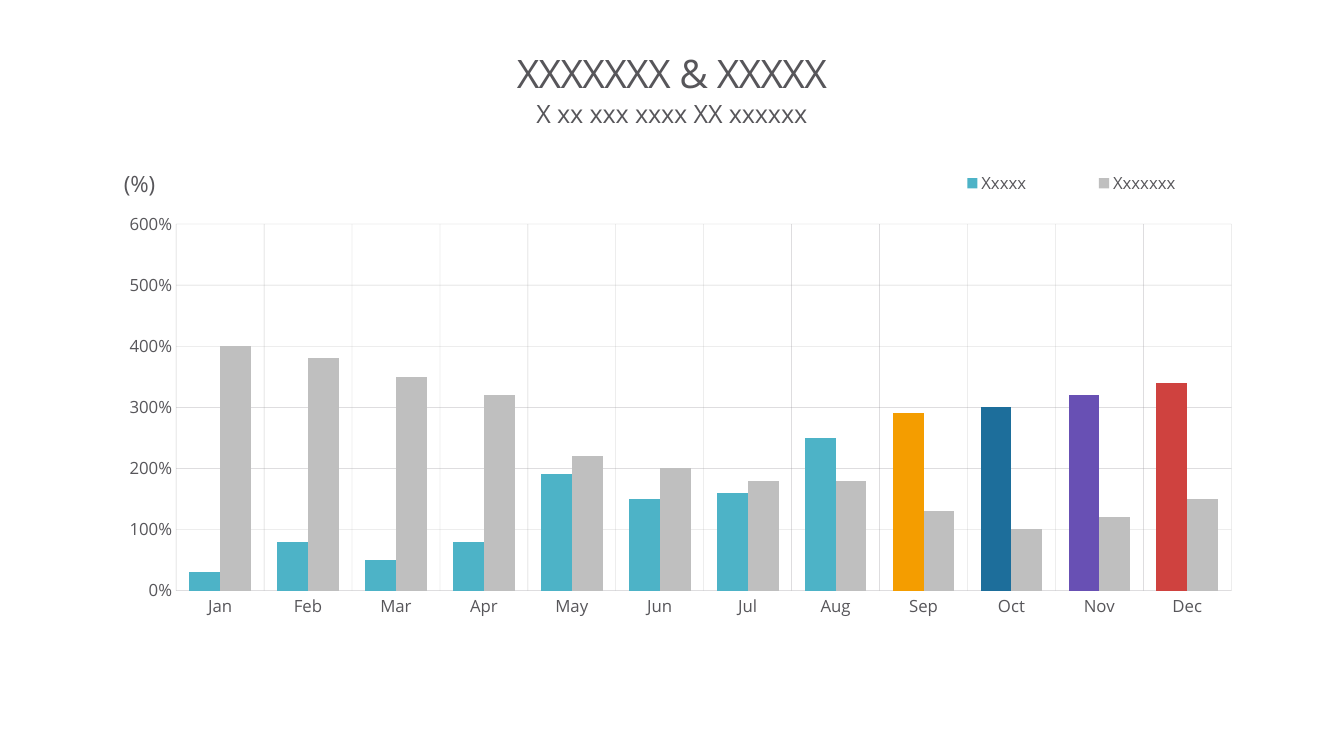
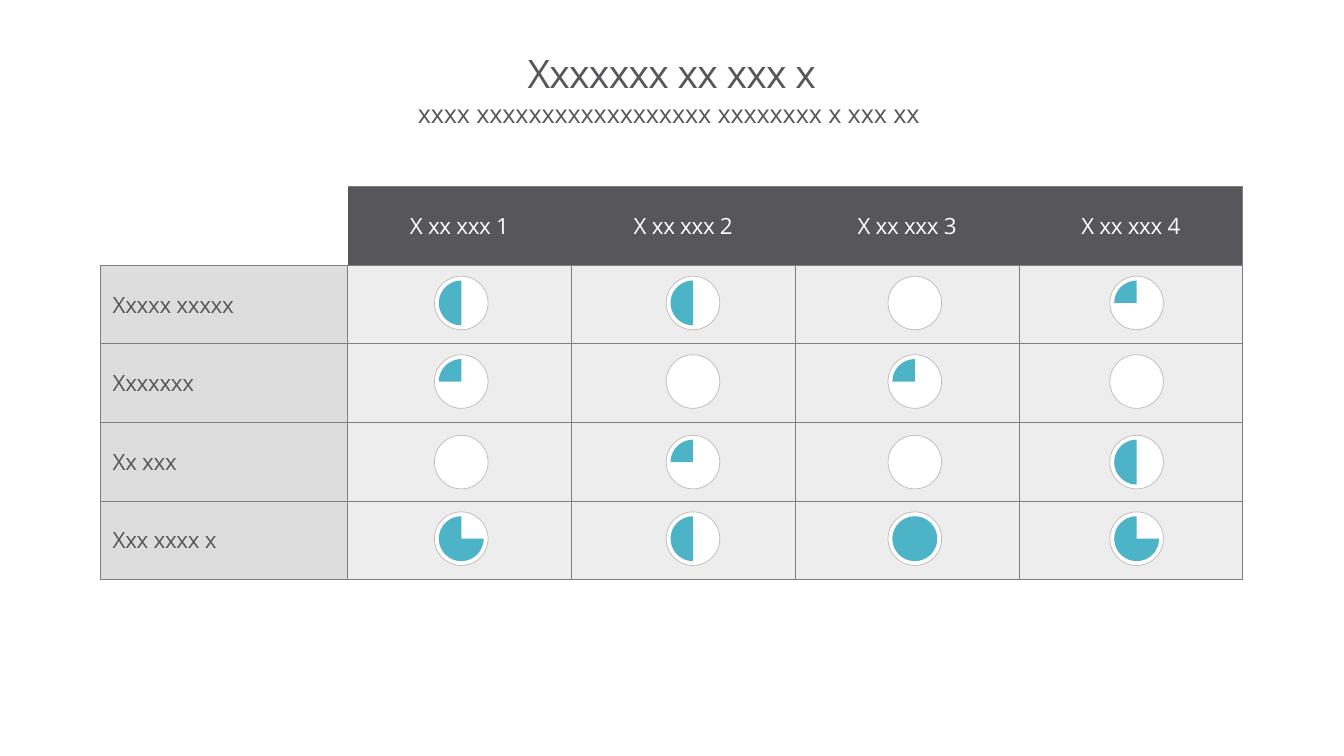
from pptx import Presentation
from pptx import util as u
from pptx.chart import data as chart_data
from pptx.dml.color import RGBColor
from pptx.enum import chart as charts, shapes, text
from pptx.oxml import ns
from lxml import etree

FONT = "Open Sans"
DARK, TEAL, SILVER = "57565A", "4DB3C7", "BFBFBF"
WHITE, GRID, BORDER = "FFFFFF", "9A999D", "7F7F7F"
NO_STYLE = "{2D5ABB26-0587-4C30-8999-92F81FD0307C}"
TITLE_BOX = (2.54, 0.79, 28.78, 2.26)
SUBTITLE_BOX = (2.54, 2.59, 28.78, 1.12)
CHART_BOX = (2.54, 4.04, 28.78, 12.85)
TABLE_BOX = (2.54, 4.7, 28.78, 9.9)

MONTHS = "Jan Feb Mar Apr May Jun Jul Aug Sep Oct Nov Dec".split()
SERIES = [
    ("Xxxxx", TEAL, [30, 80, 50, 80, 190, 150, 160, 250, 290, 300, 320, 340]),
    ("Xxxxxxx", SILVER, [400, 380, 350, 320, 220, 200, 180, 180, 130, 100, 120, 150]),
]
ACCENTS = {8: "F49D00", 9: "1D6E9B", 10: "6850B4", 11: "CF423F"}

HEADINGS = ["X xx xxx 1", "X xx xxx 2", "X xx xxx 3", "X xx xxx 4"]
QUARTERS = [
    ("Xxxxx xxxxx", [2, 2, 0, 1]),
    ("Xxxxxxx", [1, 0, 1, 0]),
    ("Xx xxx", [0, 1, 0, 2]),
    ("Xxx xxxx x", [3, 2, 4, 3]),
]
FIRST_COLUMN, COLUMN, ROW = 6.22, 5.64, 1.98
DIAL_LEFTS = [8.41, 14.25, 19.84, 25.43]
DIAL_TOPS = [2.26, 4.24, 6.27, 8.2]
DIAL, DIAL_INSET = 1.35, 0.11


def rgb(value):
    """Turn a hex string into a colour."""
    return RGBColor.from_string(value)


def cm(box):
    """Turn a box in centimetres into lengths."""
    return [u.Cm(value) for value in box]


def paint(fill, color):
    """Give a fill one solid colour."""
    fill.solid()
    fill.fore_color.rgb = rgb(color)


def fade(element, percent):
    """Set the opacity of every colour inside an element."""
    for color in element.iter(ns.qn("a:srgbClr")):
        etree.SubElement(color, ns.qn("a:alpha"), val=str(percent * 1000))


def write(frame, words, size, color=DARK, align=None, spacing=0, leading=None):
    """Write one styled paragraph into a text frame."""
    frame.text = words
    para = frame.paragraphs[0]
    para.alignment = align
    if leading:
        para.line_spacing = leading
    para.font.name, para.font.size = FONT, u.Pt(size)
    para.font.bold = False
    para.font.color.rgb = rgb(color)
    if spacing:
        para._p.pPr.find(ns.qn("a:defRPr")).set("spc", str(spacing))


def bare(frame):
    """Remove the margins of a text frame."""
    frame.margin_left = frame.margin_right = 0
    frame.margin_top = frame.margin_bottom = 0
    return frame


def add_page(deck, title, subtitle):
    """Add a slide with its centred title and subtitle."""
    page = deck.slides.add_slide(deck.slide_layouts[5])
    heading = page.shapes.title
    heading.left, heading.top, heading.width, heading.height = cm(TITLE_BOX)
    below = page.shapes.add_textbox(*cm(SUBTITLE_BOX))
    center = text.PP_ALIGN.CENTER
    for shape, words, size, spacing in ((heading, title, 28, -50), (below, subtitle, 18, -10)):
        frame = bare(shape.text_frame)
        frame.word_wrap = True
        frame.auto_size = text.MSO_AUTO_SIZE.NONE
        write(frame, words, size, align=center, spacing=spacing, leading=0.86)
    heading.text_frame.vertical_anchor = text.MSO_ANCHOR.MIDDLE
    return page


def place_part(parent, index, box, inner=False):
    """Fix the place of a chart part as fractions of the chart."""
    for old in parent.findall(ns.qn("c:layout")):
        parent.remove(old)
    layout = etree.Element(ns.qn("c:layout"))
    manual = etree.SubElement(layout, ns.qn("c:manualLayout"))
    settings = [("layoutTarget", "inner")] if inner else []
    settings += [("xMode", "edge"), ("yMode", "edge"), *zip("xywh", box)]
    for name, value in settings:
        etree.SubElement(manual, ns.qn("c:" + name), val=str(value))
    parent.insert(index, layout)


def style_axis(axis):
    """Leave only labels and pale gridlines on an axis."""
    axis.major_tick_mark = axis.minor_tick_mark = charts.XL_TICK_MARK.NONE
    axis.format.line.fill.background()
    axis.has_major_gridlines = True
    line = axis.major_gridlines.format.line
    line.width = u.Pt(0.25)
    line.color.rgb = rgb(GRID)
    fade(axis._element.find(ns.qn("c:majorGridlines")), 50)


def add_columns(page, box):
    """Add the monthly column chart with its unit label."""
    data = chart_data.CategoryChartData()
    data.categories = MONTHS
    for name, _, values in SERIES:
        data.add_series(name, values)
    kind = charts.XL_CHART_TYPE.COLUMN_CLUSTERED
    chart = page.shapes.add_chart(kind, *cm(box), data).chart
    chart.has_title = False
    chart.font.name, chart.font.size = FONT, u.Pt(12)
    chart.font.color.rgb = rgb(DARK)
    plot = chart.plots[0]
    plot.vary_by_categories = False
    plot.gap_width, plot.overlap = 85, 0
    for series, (_, color, _) in zip(plot.series, SERIES):
        paint(series.format.fill, color)
    for index, color in ACCENTS.items():
        paint(plot.series[0].points[index].format.fill, color)
    for axis in (chart.category_axis, chart.value_axis):
        style_axis(axis)
    scale = chart.value_axis
    scale.minimum_scale, scale.maximum_scale, scale.major_unit = 0, 600, 100
    scale.tick_labels.number_format = '0"%"'
    scale.tick_labels.number_format_is_linked = False
    chart.has_legend = True
    chart.legend.position = charts.XL_LEGEND_POSITION.LEFT
    chart.legend.include_in_layout = True
    place_part(chart.legend._element, 1, (0.7, 0, 0.3, 0.09))
    area = chart._chartSpace.chart.plotArea
    place_part(area, 0, (0.066, 0.125, 0.924, 0.719), inner=True)
    unit = page.shapes.add_textbox(*cm((box[0] + 0.58, box[1] + 0.25, 0.81, 0.69)))
    frame = bare(unit.text_frame)
    frame.word_wrap = False
    frame.auto_size = text.MSO_AUTO_SIZE.SHAPE_TO_FIT_TEXT
    write(frame, "(%)", 16)


def add_borders(cell, sides):
    """Draw thin lines on the named sides of a cell."""
    properties = cell._tc.get_or_add_tcPr()
    for index, side in enumerate(sides):
        line = etree.Element(ns.qn("a:ln" + side), w=str(u.Pt(0.5)))
        fill = etree.SubElement(line, ns.qn("a:solidFill"))
        etree.SubElement(fill, ns.qn("a:srgbClr"), val=BORDER)
        fade(line, 50)
        properties.insert(index, line)


def fill_cell(cell, color, opacity=100):
    """Give a cell a fill of some opacity."""
    paint(cell.fill, color)
    if opacity < 100:
        fade(cell._tc.tcPr, opacity)


def add_dial(page, left, top, quarters):
    """Add a round dial filled by a number of quarters."""
    ring = page.shapes.add_shape(shapes.MSO_SHAPE.OVAL, *cm((left, top, DIAL, DIAL)))
    ring.shadow.inherit = False
    paint(ring.fill, WHITE)
    ring.line.width = u.Pt(0.5)
    ring.line.color.rgb = rgb("808080")
    fade(ring.line._ln, 50)
    if not quarters:
        return
    size = DIAL - 2 * DIAL_INSET
    kind = shapes.MSO_SHAPE.OVAL if quarters == 4 else shapes.MSO_SHAPE.PIE
    box = (left + DIAL_INSET, top + DIAL_INSET, size, size)
    wedge = page.shapes.add_shape(kind, *cm(box))
    wedge.shadow.inherit = False
    paint(wedge.fill, TEAL)
    wedge.line.fill.background()
    if quarters < 4:
        wedge.adjustments[0] = (270 - 90 * quarters) * 0.6
        wedge.adjustments[1] = 162


def add_matrix(page, box):
    """Add the table and the dials on its cells."""
    frame = page.shapes.add_table(len(QUARTERS) + 1, len(HEADINGS) + 1, *cm(box))
    table = frame.table
    table.first_row = table.horz_banding = False
    table._tbl.tblPr.find(ns.qn("a:tableStyleId")).text = NO_STYLE
    for index, column in enumerate(table.columns):
        column.width = u.Cm(COLUMN if index else FIRST_COLUMN)
    for row in table.rows:
        row.height = u.Cm(ROW)
    for cell in table.iter_cells():
        cell.vertical_anchor = text.MSO_ANCHOR.MIDDLE
        cell.margin_left = cell.margin_right = u.Cm(0.3)
        cell.margin_top = cell.margin_bottom = u.Cm(0.18)
    table.cell(0, 0).fill.background()
    add_borders(table.cell(0, 0), "B")
    for number, words in enumerate(HEADINGS, 1):
        cell = table.cell(0, number)
        write(cell.text_frame, words, 16, WHITE, text.PP_ALIGN.CENTER, -20)
        fill_cell(cell, DARK)
        add_borders(cell, "RTB" if number == len(HEADINGS) else "TB")
    for number, (words, levels) in enumerate(QUARTERS, 1):
        write(table.cell(number, 0).text_frame, words, 16, spacing=-20)
        for index in range(len(HEADINGS) + 1):
            cell = table.cell(number, index)
            fill_cell(cell, *(("808080", 14) if index else ("555555", 20)))
            add_borders(cell, "LRTB")
        for left, quarters in zip(DIAL_LEFTS, levels):
            add_dial(page, box[0] + left, box[1] + DIAL_TOPS[number - 1], quarters)


def main():
    """Build and save the deck."""
    deck = Presentation()
    deck.slide_width, deck.slide_height = u.Cm(33.87), u.Cm(19.05)
    page = add_page(deck, "XXXXXXX & XXXXX", "X xx xxx xxxx XX xxxxxx")
    add_columns(page, CHART_BOX)
    page = add_page(deck, "Xxxxxxx xx xxx x", "xxxx xxxxxxxxxxxxxxxxxx xxxxxxxx x xxx xx ")
    add_matrix(page, TABLE_BOX)
    deck.save("out.pptx")


if __name__ == "__main__":
    main()
